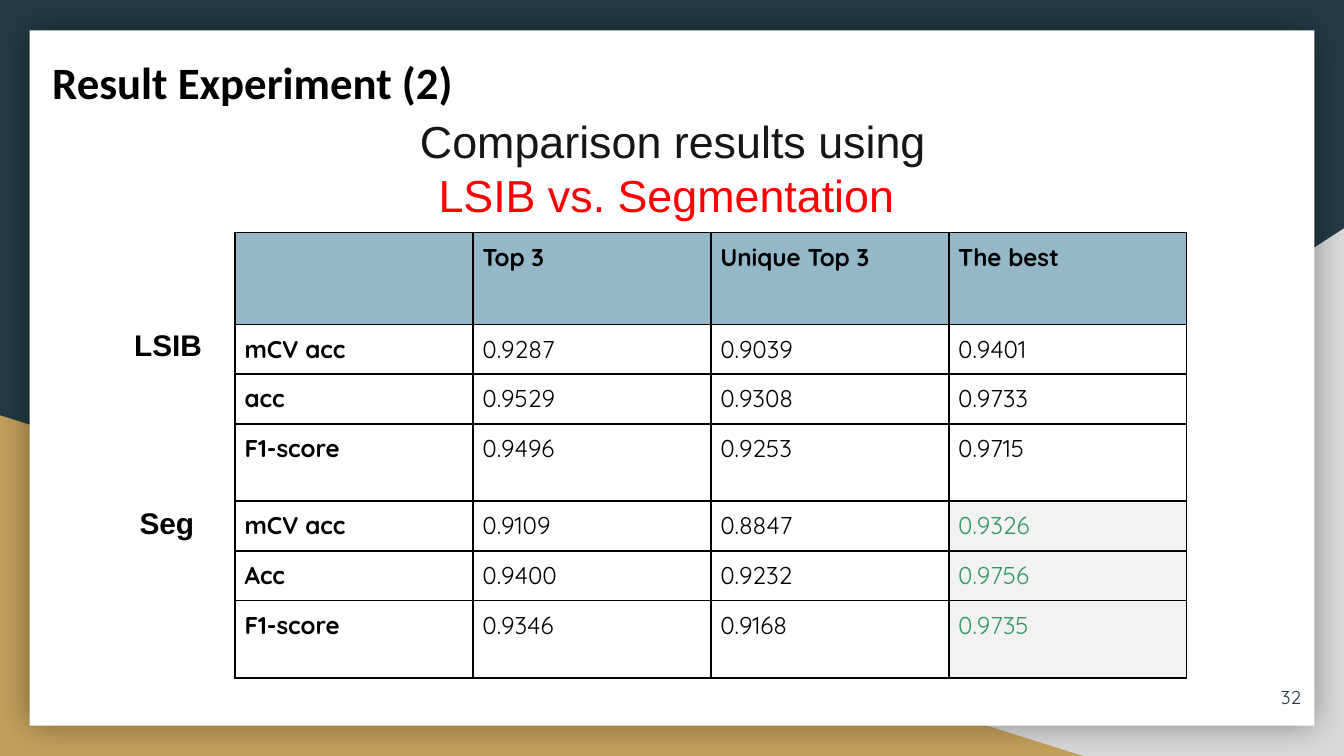
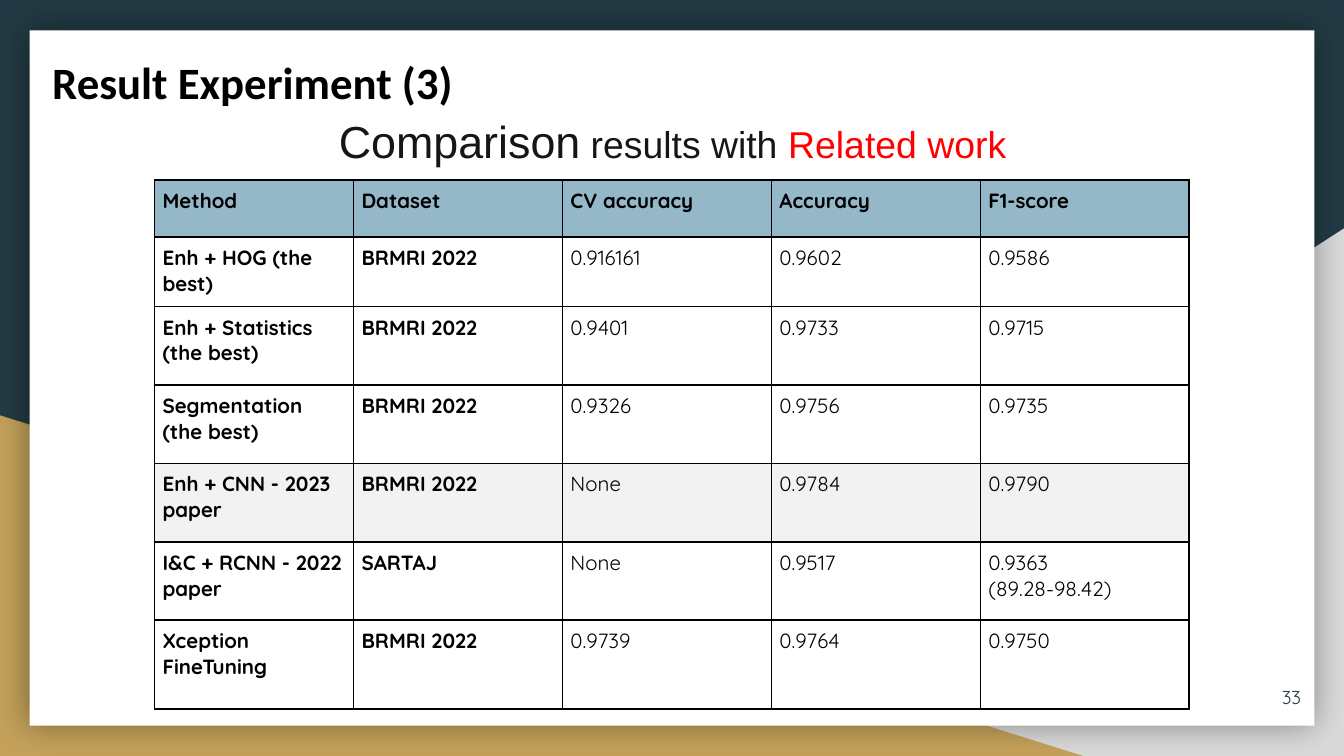
from dataclasses import dataclass

from lxml.etree import SubElement
from pptx import Presentation
from pptx.dml.color import RGBColor
from pptx.enum.shapes import MSO_SHAPE
from pptx.enum.text import MSO_ANCHOR, MSO_AUTO_SIZE, PP_ALIGN
from pptx.oxml import parse_xml
from pptx.oxml.ns import nsdecls, qn
from pptx.util import Inches, Pt


@dataclass(frozen=True)
class Theme:
    # Colours
    navy: str = "233A44"
    gold: str = "C4A15A"
    silver: str = "D9D9D9"
    paper: str = "FFFFFF"
    black: str = "000000"
    ink: str = "161616"
    red: str = "FF0000"
    green: str = "339966"
    header: str = "94B8C8"
    highlight: str = "F2F2F2"
    # Fonts
    title_font: str = "Calibri"
    body_font: str = "Arial"
    table_font: str = "Quicksand"
    # Type sizes and line width, in points
    title_size: int = 24
    heading_size: int = 24
    subheading_size: int = 20
    label_size: int = 16
    number_size: int = 10
    border_width: int = 1


THEME = Theme()

# The slide is a grid of square cells, 0.1 inch wide
CELL = Inches(0.1)
COLUMNS, ROWS = 100, 56.25


def grid(cells):
    return round(cells * CELL)


def color(code):
    return RGBColor.from_string(code)


class Deck:
    """Holds the style and the current slide."""

    def __init__(self, theme):
        self.theme = theme
        self.presentation = Presentation()
        self.presentation.slide_width = grid(COLUMNS)
        self.presentation.slide_height = grid(ROWS)
        background = self.presentation.slide_master.background.fill
        background.solid()
        background.fore_color.rgb = color(theme.navy)
        self.slide = None

    def new_slide(self, title, number):
        theme = self.theme
        self.slide = self.presentation.slides.add_slide(self.presentation.slide_layouts[6])
        # Backdrop: two corner triangles behind a sheet of paper
        corner = self.shape(MSO_SHAPE.RIGHT_TRIANGLE, 39.2, 17, 60.8, ROWS - 17, theme.silver)
        corner._element.spPr.find(qn("a:xfrm")).set("flipH", "1")
        self.shape(MSO_SHAPE.RIGHT_TRIANGLE, 0, 30.9, 80.6, ROWS - 30.9, theme.gold)
        sheet = self.shape(MSO_SHAPE.RECTANGLE, 2.2, 2.25, 95.6, 51.75, theme.paper)
        self.glow_shadow(sheet)
        # Title and page number
        frame = self.text(1.5, 3.1, 41.5, 6.1, [(title, theme.title_size, theme.black)],
                          theme.title_font, bold=True, inset=1)
        frame.paragraphs[0]._p.get_or_add_pPr().set("marL", str(grid(1.4)))
        frame = self.text(91.8, 49.7, 6, 4.3, [(str(number), theme.number_size, theme.navy)],
                          theme.table_font, align=PP_ALIGN.RIGHT, inset=1)
        frame.auto_size = MSO_AUTO_SIZE.NONE
        frame.vertical_anchor = MSO_ANCHOR.MIDDLE

    def shape(self, kind, left, top, width, height, fill):
        shape = self.slide.shapes.add_shape(kind, *map(grid, (left, top, width, height)))
        shape.shadow.inherit = False
        shape.fill.solid()
        shape.fill.fore_color.rgb = color(fill)
        shape.line.fill.background()
        return shape

    def glow_shadow(self, shape):
        effects = shape._element.spPr.find(qn("a:effectLst"))
        effects.append(parse_xml(
            f'<a:outerShdw {nsdecls("a")} blurRad="{Pt(18)}" dist="0" algn="ctr" rotWithShape="0">'
            f'<a:srgbClr val="{self.theme.black}"><a:alpha val="40000"/></a:srgbClr>'
            '</a:outerShdw>'))

    def text(self, left, top, width, height, runs, font, bold=False,
             align=PP_ALIGN.LEFT, inset=0.5):
        """Adds one paragraph of (text, size, colour) runs."""
        box = self.slide.shapes.add_textbox(*map(grid, (left, top, width, height)))
        frame = box.text_frame
        frame.word_wrap = True
        frame.auto_size = MSO_AUTO_SIZE.SHAPE_TO_FIT_TEXT
        frame.margin_left = frame.margin_right = grid(1)
        frame.margin_top = frame.margin_bottom = grid(inset)
        paragraph = frame.paragraphs[0]
        paragraph.alignment = align
        paragraph.font.name = font
        paragraph.font.bold = bold
        for words, size, code in runs:
            run = paragraph.add_run()
            run.text = words
            run.font.size = Pt(size)
            run.font.color.rgb = color(code)
        return frame

    def heading(self, left, width, height, runs):
        self.text(left, 8, width, height, runs, self.theme.body_font, align=PP_ALIGN.CENTER)

    def row_label(self, left, top, width, words):
        self.text(left, top, width, 3.7, [(words, self.theme.label_size, self.theme.black)],
                  self.theme.body_font, bold=True)

    def table(self, left, top, widths, heights, rows, size, inset,
              bold_columns=1, highlights=(), accent=None):
        """Highlights are (row, column) pairs; accent is their text colour."""
        theme = self.theme
        table = self.slide.shapes.add_table(
            len(rows), len(widths),
            *map(grid, (left, top, sum(widths), sum(heights)))).table
        table.first_row = table.horz_banding = False
        for column, width in zip(table.columns, widths):
            column.width = grid(width)
        for row, height in zip(table.rows, heights):
            row.height = grid(height)
        for i, values in enumerate(rows):
            for j, value in enumerate(values):
                marked = (i, j) in highlights
                cell = table.cell(i, j)
                cell.margin_left = cell.margin_right = grid(inset)
                cell.margin_top = cell.margin_bottom = grid(inset)
                self.borders(cell)
                cell.fill.solid()
                cell.fill.fore_color.rgb = color(
                    theme.header if i == 0 else theme.highlight if marked else theme.paper)
                paragraph = cell.text_frame.paragraphs[0]
                paragraph.text = value
                paragraph.font.name = theme.table_font
                paragraph.font.size = Pt(size)
                paragraph.font.bold = i == 0 or j < bold_columns
                paragraph.font.color.rgb = color(accent if marked and accent else theme.black)

    def borders(self, cell):
        properties = cell._tc.get_or_add_tcPr()
        for side in ("a:lnL", "a:lnR", "a:lnT", "a:lnB"):
            line = SubElement(properties, qn(side), w=str(Pt(self.theme.border_width)))
            fill = SubElement(line, qn("a:solidFill"))
            SubElement(fill, qn("a:srgbClr"), val=self.theme.black)


def segmentation_slide(deck):
    theme = deck.theme
    deck.new_slide("Result Experiment (2)", 32)
    deck.heading(27.7, 44.7, 9.1, [
        ("Comparison results using ", theme.heading_size, theme.ink),
        ("LSIB vs. Segmentation ", theme.heading_size, theme.red)])
    scores = [
        ("", "Top 3", "Unique Top 3", "The best"),
        ("mCV acc", "0.9287", "0.9039", "0.9401"),
        ("acc", "0.9529", "0.9308", "0.9733"),
        ("F1-score", "0.9496", "0.9253", "0.9715"),
        ("mCV acc", "0.9109", "0.8847", "0.9326"),
        ("Acc", "0.9400", "0.9232", "0.9756"),
        ("F1-score", "0.9346", "0.9168", "0.9735"),
    ]
    method_heights = [3.7, 3.7, 5.75]
    deck.table(17.5, 17.3, [17.7] * 4, [6.85] + method_heights * 2, scores,
               size=13, inset=0.7,
               highlights={(row, 3) for row in (4, 5, 6)}, accent=theme.green)
    deck.row_label(9, 23.8, 8.5, "LSIB")
    deck.row_label(9.4, 37.1, 7.7, "Seg")


def related_work_slide(deck):
    theme = deck.theme
    deck.new_slide("Result Experiment (3)", 33)
    deck.heading(23.3, 53.5, 5, [
        ("Comparison", theme.heading_size, theme.ink),
        (" results with ", theme.subheading_size, theme.ink),
        ("Related work", theme.subheading_size, theme.red)])
    methods = [
        ("Method", "Dataset", "CV accuracy", "Accuracy", "F1-score"),
        ("Enh + HOG (the best)", "BRMRI 2022", "0.916161", "0.9602", "0.9586"),
        ("Enh + Statistics (the best)", "BRMRI 2022", "0.9401", "0.9733", "0.9715"),
        ("Segmentation (the best)", "BRMRI 2022", "0.9326", "0.9756", "0.9735"),
        ("Enh + CNN - 2023 paper", "BRMRI 2022", "None", "0.9784", "0.9790"),
        ("I&C + RCNN - 2022 paper", "SARTAJ", "None", "0.9517", "0.9363 \n(89.28-98.42)"),
        ("Xception FineTuning", "BRMRI 2022", "0.9739", "0.9764", "0.9750"),
    ]
    deck.table(11.5, 13.4, [14.8] + [15.55] * 4, [4.25, 5.15] + [5.84] * 4 + [6.6],
               methods, size=11, inset=0.6, bold_columns=2,
               highlights={(4, column) for column in range(5)})


def main():
    deck = Deck(THEME)
    segmentation_slide(deck)
    related_work_slide(deck)
    deck.presentation.save("out.pptx")


if __name__ == "__main__":
    main()
